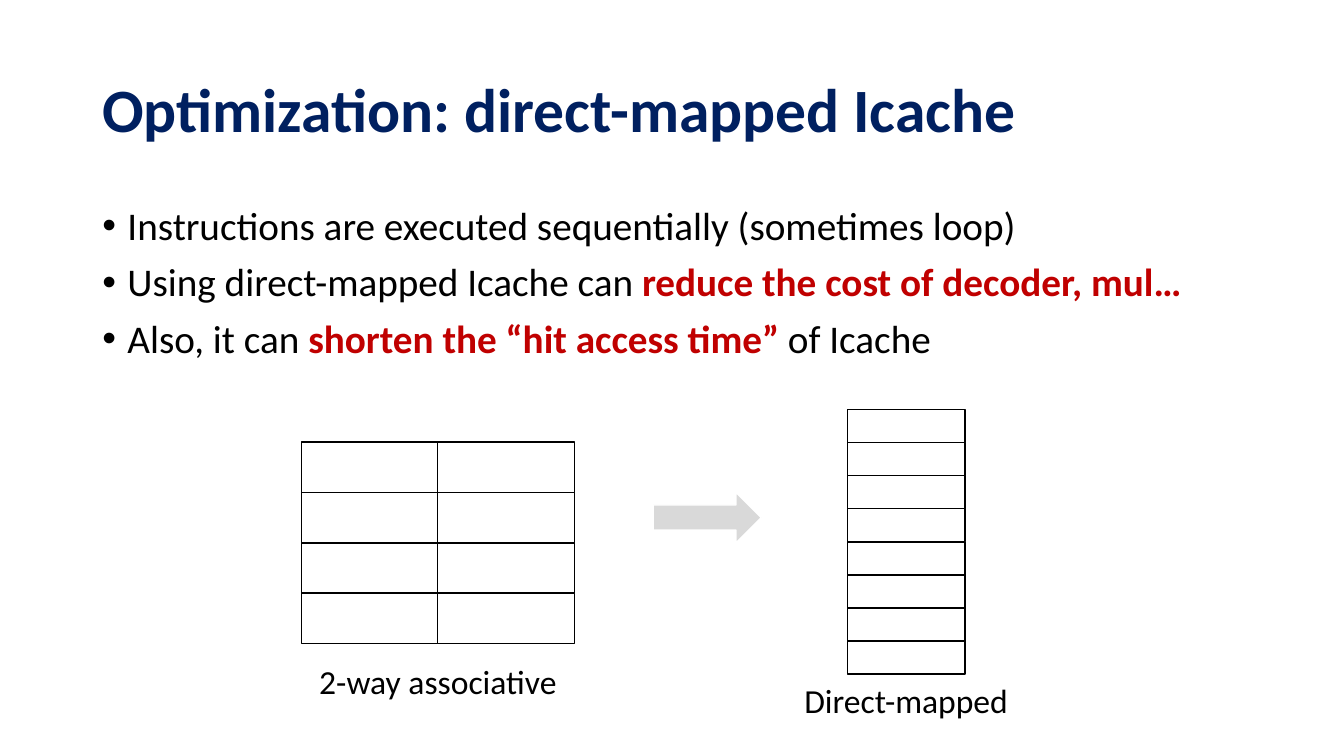
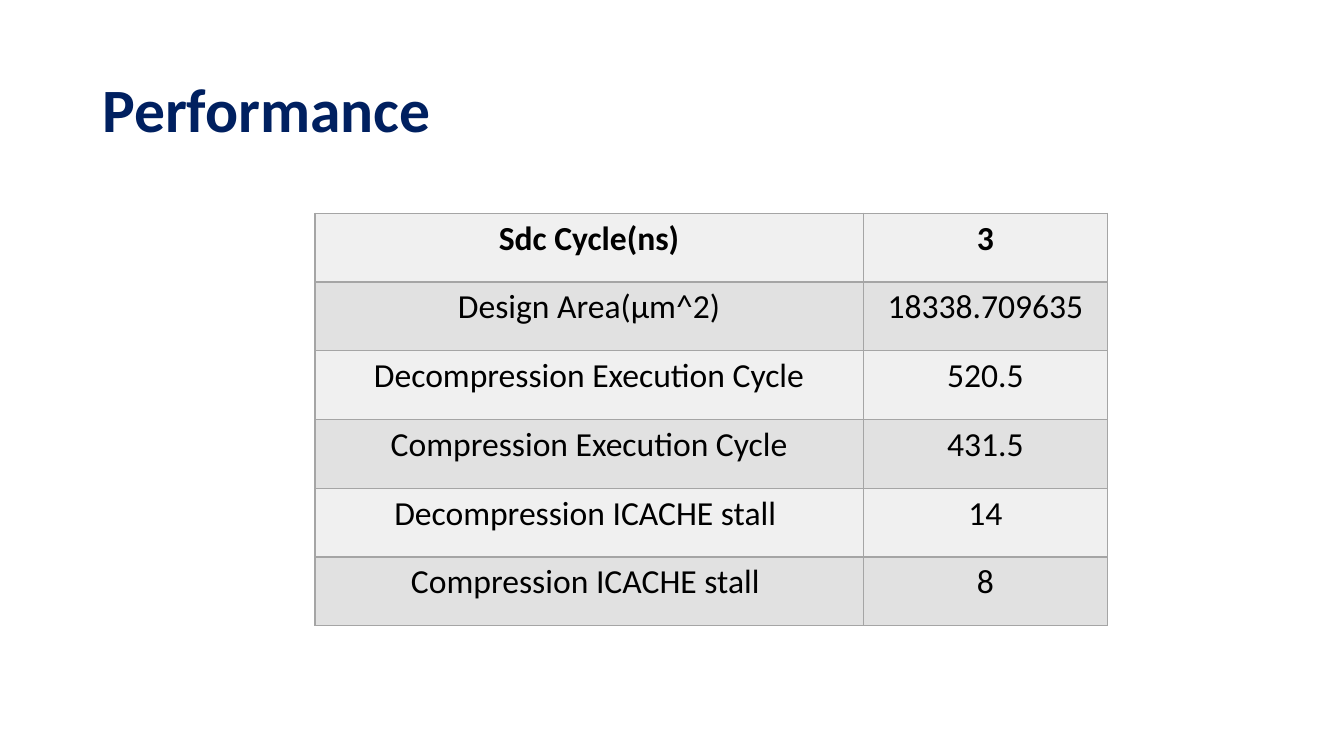
from dataclasses import dataclass

from lxml import etree
from pptx import Presentation
from pptx.dml.color import RGBColor
from pptx.enum.shapes import MSO_SHAPE
from pptx.enum.text import MSO_ANCHOR, PP_ALIGN
from pptx.oxml.ns import qn
from pptx.util import Pt

RECT, ARROW = MSO_SHAPE.RECTANGLE, MSO_SHAPE.RIGHT_ARROW
CENTER, LEFT = PP_ALIGN.CENTER, PP_ALIGN.LEFT
TOP, MIDDLE = MSO_ANCHOR.TOP, MSO_ANCHOR.MIDDLE
SCALE = 9525


@dataclass(frozen=True)
class Theme:
    """Colours, font and type sizes of the deck."""
    face: str = "Calibri"
    navy: str = "002060"
    black: str = "000000"
    white: str = "FFFFFF"
    red: str = "C00000"
    arrow: str = "D9D9D9"
    edge: str = "A5A5A5"
    bands: tuple = ("F0F0F0", "E1E1E1")
    head: int = 44
    body: int = 28
    label: int = 24


T = Theme()
HEAD = (88, 38, 1104, 139)
BODY = (88, 192, 1104, 457)
POINTS = [
    [("Instructions are executed sequentially (sometimes loop)", False)],
    [("Using direct-mapped Icache can ", False),
     ("reduce the cost of decoder, mul…", True)],
    [("Also, it can ", False), ("shorten the “hit access time”", True),
     (" of Icache", False)],
]
ROWS = [
    ("Sdc Cycle(ns)", "3"),
    ("Design Area(μm^2)", "18338.709635"),
    ("Decompression Execution Cycle", "520.5"),
    ("Compression Execution Cycle", "431.5"),
    ("Decompression ICACHE stall ", "14"),
    ("Compression ICACHE stall ", "8"),
]


def px(*vals):
    """Turn px lengths into EMU."""
    return [round(v * SCALE) for v in vals]


def write(para, text, size, color, bold=False):
    """Add one styled run to a paragraph."""
    run = para.add_run()
    run.text = text
    style = {"name": T.face, "size": Pt(size), "bold": bold}
    for key, val in style.items():
        setattr(run.font, key, val)
    run.font.color.rgb = RGBColor.from_string(color)


def frame(slide, box, anchor=TOP):
    """Add a wrapping text box and return its text frame."""
    area = slide.shapes.add_textbox(*px(*box)).text_frame
    style = {"word_wrap": True, "vertical_anchor": anchor}
    for key, val in style.items():
        setattr(area, key, val)
    return area


def title(slide, text):
    """Place the slide title."""
    para = frame(slide, HEAD, MIDDLE).paragraphs[0]
    para.line_spacing = 0.9
    write(para, text, T.head, T.navy, True)


def bullets(slide, box, points):
    """Place a bulleted list with stressed parts in red."""
    area = frame(slide, box)
    for i, parts in enumerate(points):
        para = area.add_paragraph() if i else area.paragraphs[0]
        style = {"line_spacing": 0.9, "alignment": LEFT,
                 "space_before": Pt(10 if i else 0)}
        for key, val in style.items():
            setattr(para, key, val)
        props = para._p.get_or_add_pPr()
        indent = px(24)[0]
        props.set("marL", str(indent))
        props.set("indent", str(-indent))
        etree.SubElement(props, qn("a:buFont")).set("typeface", "Arial")
        etree.SubElement(props, qn("a:buChar")).set("char", "•")
        for text, stress in parts:
            write(para, text, T.body, T.red if stress else T.black, stress)


def block(slide, kind, box, fill, line):
    """Add a filled and outlined shape."""
    shape = slide.shapes.add_shape(kind, *px(*box))
    shape.shadow.inherit = False
    shape.fill.solid()
    shape.fill.fore_color.rgb = RGBColor.from_string(fill)
    shape.line.color.rgb = RGBColor.from_string(line)
    shape.line.width = Pt(1)


def cache(slide, box, rows, cols, label, gap):
    """Draw a grid of cache lines with a centred label below."""
    x, y, w, h = box
    dx, dy = w / cols, h / rows
    for r in range(rows):
        for c in range(cols):
            block(slide, RECT, (x + c * dx, y + r * dy, dx, dy),
                  T.white, T.black)
    wide = 333
    para = frame(slide, (x + (w - wide) / 2, y + h + gap, wide, 48)).paragraphs[0]
    para.alignment = CENTER
    write(para, label, T.label, T.black)


def border(cell):
    """Outline all four sides of a table cell."""
    props = cell._tc.get_or_add_tcPr()
    for i, side in enumerate(("lnL", "lnR", "lnT", "lnB")):
        line = etree.Element(qn("a:" + side), w=str(Pt(1)))
        fill = etree.SubElement(line, qn("a:solidFill"))
        etree.SubElement(fill, qn("a:srgbClr")).set("val", T.edge)
        props.insert(i, line)


def grid(slide, box, widths, rows):
    """Place a banded table with a bold first row."""
    table = slide.shapes.add_table(len(rows), len(widths), *px(*box)).table
    for col, width in zip(table.columns, px(*widths)):
        col.width = width
    for r, row in enumerate(rows):
        table.rows[r].height = px(box[3] / len(rows))[0]
        for c, text in enumerate(row):
            cell = table.cell(r, c)
            cell.fill.solid()
            cell.fill.fore_color.rgb = RGBColor.from_string(T.bands[r % 2])
            border(cell)
            para = cell.text_frame.paragraphs[0]
            para.alignment = CENTER
            write(para, text, T.label, T.black, r == 0)


def mapping(slide):
    """Build the slide on the direct-mapped cache."""
    title(slide, "Optimization: direct-mapped Icache")
    bullets(slide, BODY, POINTS)
    cache(slide, (287, 421, 260, 192), 4, 2, "2-way associative", 12)
    cache(slide, (807, 390, 112, 252), 8, 1, "Direct-mapped", 1)
    block(slide, ARROW, (622, 469, 103, 48), T.arrow, T.white)


def results(slide):
    """Build the slide with the performance table."""
    title(slide, "Performance")
    grid(slide, (300, 203, 755, 393), (522, 233), ROWS)


def main():
    """Build and save the deck."""
    deck = Presentation()
    deck.slide_width, deck.slide_height = px(1280, 720)
    for build in (mapping, results):
        build(deck.slides.add_slide(deck.slide_layouts[6]))
    deck.save("out.pptx")


if __name__ == "__main__":
    main()
